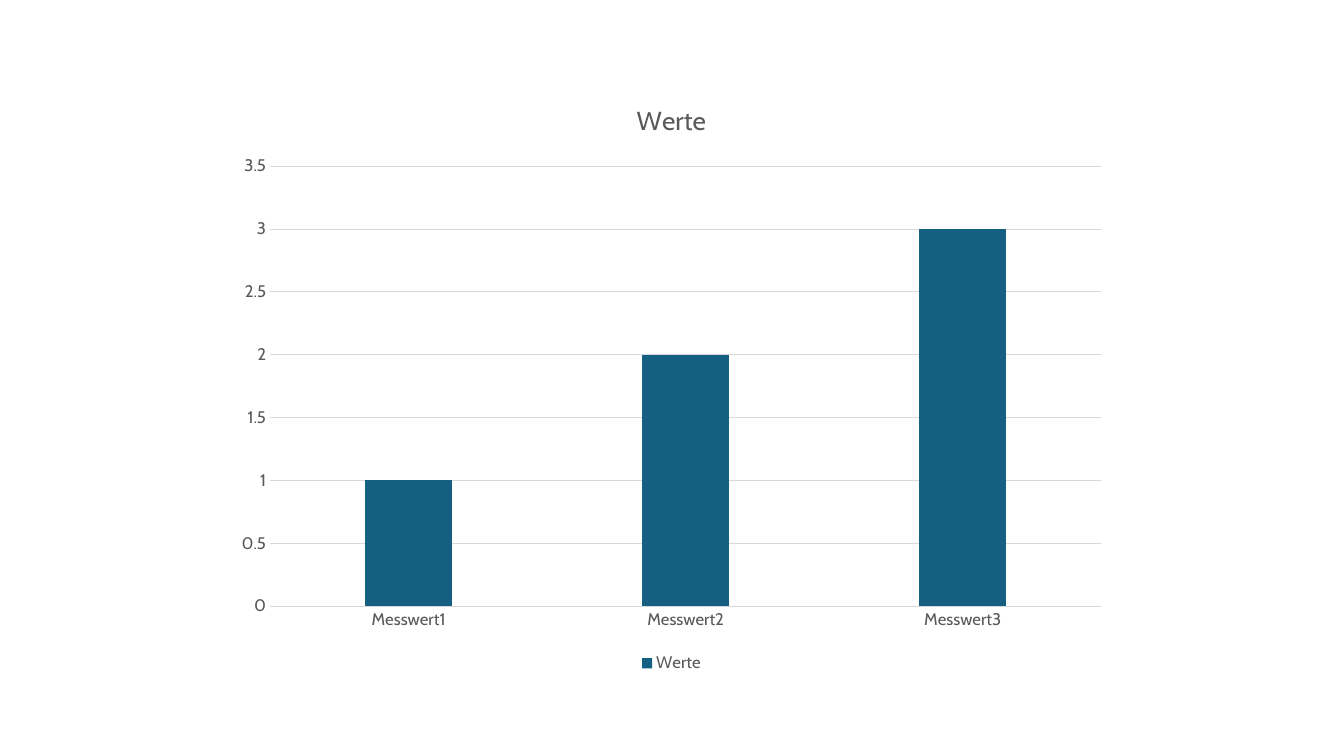
from pptx import Presentation
from pptx.chart.data import CategoryChartData
from pptx.dml.color import RGBColor
from pptx.enum.chart import XL_CHART_TYPE, XL_LEGEND_POSITION, XL_TICK_MARK
from pptx.util import Pt

COLUMNS = XL_CHART_TYPE.COLUMN_CLUSTERED
BOTTOM = XL_LEGEND_POSITION.BOTTOM
NO_TICK = XL_TICK_MARK.NONE
PX = 9525  # EMU per px, 96 px to the inch
BLANK = 6
FONT = "Cabin"
COLORS = {"bar": "156082", "text": "595959", "grid": "D9D9D9"}
VALUES = {"Messwert1": 1, "Messwert2": 2, "Messwert3": 3}


def color(name):
    return RGBColor.from_string(COLORS[name])


def style_font(font, size):
    font.name = FONT
    font.size = Pt(size)
    font.bold = False
    font.color.rgb = color("text")


def style_line(line):
    line.color.rgb = color("grid")
    line.width = Pt(0.75)


def style_title(chart, text):
    chart.has_title = True
    frame = chart.chart_title.text_frame
    frame.text = text
    style_font(frame.paragraphs[0].runs[0].font, 18.6)
    chart.chart_title.include_in_layout = False


def style_axes(chart):
    for axis in (chart.category_axis, chart.value_axis):
        axis.major_tick_mark = NO_TICK
        axis.minor_tick_mark = NO_TICK
        style_font(axis.tick_labels.font, 12)
    style_line(chart.category_axis.format.line)
    values = chart.value_axis
    values.format.line.fill.background()
    values.has_major_gridlines = True
    style_line(values.major_gridlines.format.line)
    values.minimum_scale = 0
    values.maximum_scale = 3.5
    values.major_unit = 0.5


def style_bars(plot):
    plot.gap_width = 219
    plot.overlap = -27
    plot.vary_by_categories = False
    fill = plot.series[0].format.fill
    fill.solid()
    fill.fore_color.rgb = color("bar")


def style_legend(chart):
    chart.has_legend = True
    chart.legend.position = BOTTOM
    chart.legend.include_in_layout = False
    style_font(chart.legend.font, 12)


def add_columns(slide, left, top, width, height):
    data = CategoryChartData(number_format="General")
    data.categories = list(VALUES)
    data.add_series("Werte", list(VALUES.values()))
    box = [n * PX for n in (left, top, width, height)]
    chart = slide.shapes.add_chart(COLUMNS, *box, data).chart
    style_font(chart.font, 12)
    style_title(chart, "Werte")
    style_axes(chart)
    style_bars(chart.plots[0])
    style_legend(chart)


def main():
    deck = Presentation()
    deck.slide_width = 1280 * PX
    deck.slide_height = 720 * PX
    slide = deck.slides.add_slide(deck.slide_layouts[BLANK])
    add_columns(slide, 213, 76, 853, 569)
    deck.save("out.pptx")


if __name__ == "__main__":
    main()
